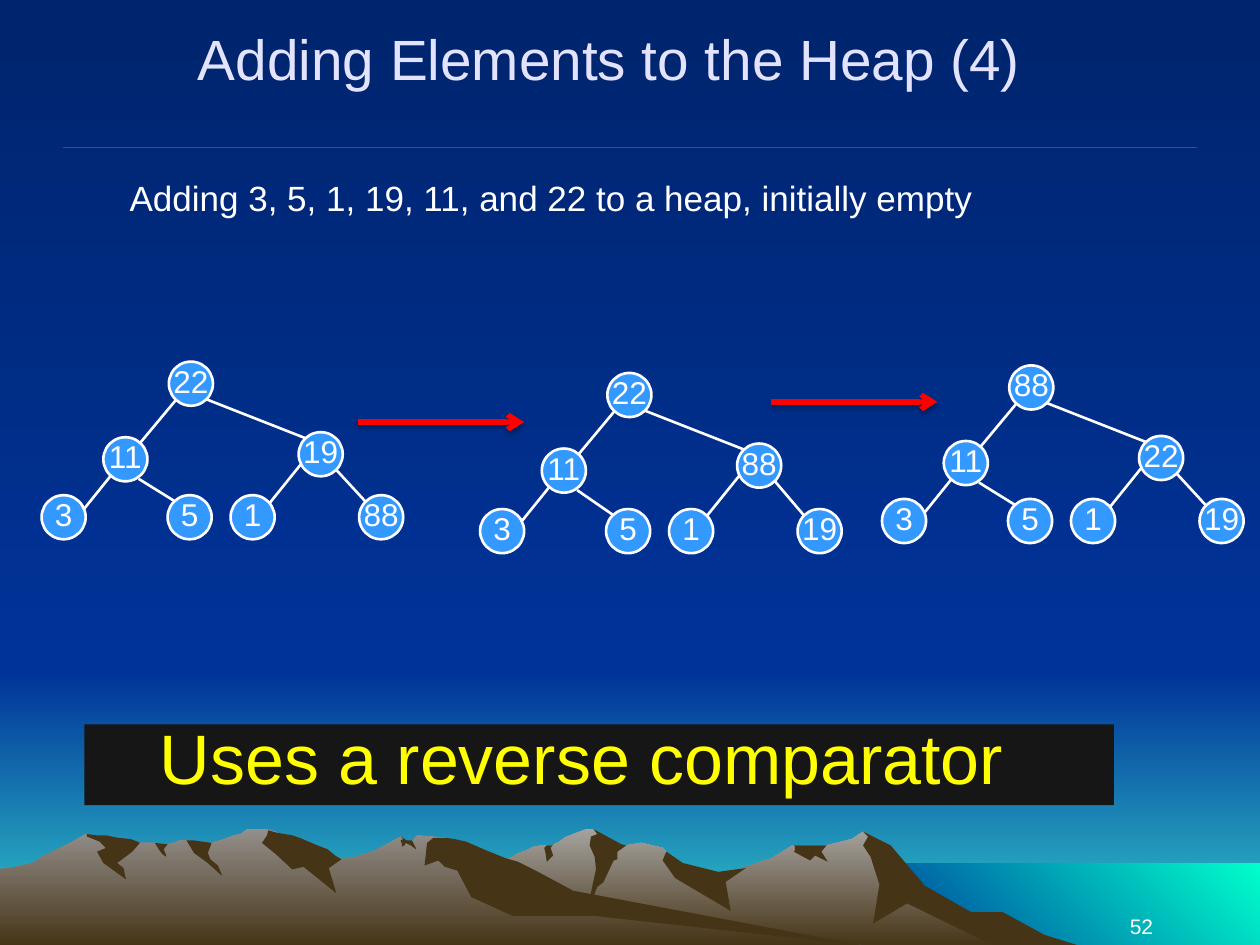
"""Build a slide that shows a heap being repaired after an element is added."""
from dataclasses import dataclass

from lxml import etree
from pptx import Presentation
from pptx import util as u
from pptx.dml.color import RGBColor
from pptx.enum import shapes, text
from pptx.oxml import ns


@dataclass(frozen=True)
class Theme:
    font: str = "Arial"
    white: str = "FFFFFF"
    title: str = "E3E3FF"
    node: str = "3399FF"
    rule: str = "EF0129"
    arrow: str = "FF0000"
    banner: str = "161616"
    banner_text: str = "FFFF00"
    rock: str = "463416"
    sky: tuple = ("00246D", "003399")
    haze: tuple = ("003399", "33CCCC")
    sea: tuple = ("003399", "00FFCC")
    far_slope: tuple = ("A5A29F", "463416")
    near_slope: tuple = ("938F8B", "463416")
    title_size: float = 32.4
    body_size: float = 20
    node_size: float = 18
    number_size: float = 12
    banner_size: float = 40


THEME = Theme()
NODE_SIZE = 0.35

# Outlines in hundredths of an inch
FAR_SLOPE = """802,740 778,727 764,723 723,698 702,671 685,660 676,666 656,671 629,671 613,681
    566,697 536,690 529,676 526,673 509,669 497,671 486,673 474,661 471,658 465,658 450,664
    448,665 444,668 438,671 430,671 424,672 418,675 412,677 405,681 399,683 394,685 355,698
    327,709 277,739 258,751 821,751"""
FAR_SHADES = [
    """796,724 771,724 734,703 707,671 685,660 689,664 685,671 691,680 698,702 693,733 720,717
    792,752 858,751 829,742""",
    """471,658 474,662 469,664 468,671 472,680 473,690 465,727 474,704 479,700 487,683 490,682
    490,676 497,671 493,670""",
    "529,676 528,678 526,683 536,697 580,723 576,700 592,689 570,692 542,685",
    "650,671 630,671 631,672 631,675 630,676 643,683 647,679 657,684 652,676 656,671",
    "433,677 432,673 434,671 438,671 439,670 437,673 439,679 434,684",
]
NEAR_SLOPE = """690,751 667,748 432,712 354,665 331,663 327,668 323,668 318,664 296,676 279,681
    271,682 260,676 236,681 223,663 219,660 212,658 196,658 191,662 186,663 178,666 168,669
    160,671 148,667 143,667 132,671 128,671 123,669 111,669 94,671 68,662 56,669 50,672 46,674
    35,679 26,685 14,688 0,690 0,751"""
NEAR_SHADES = [
    """212,663 208,669 219,678 232,690 241,688 267,709 261,689 271,682 266,679 260,674 252,671
    245,668 238,665 232,663 226,662 220,661 213,659""",
    """370,668 361,666 354,665 344,665 339,669 337,687 348,683 353,688 363,691 374,712 407,727
    472,727 690,751 683,750 455,707 427,692 411,684 401,681 386,675""",
    """318,667 320,666 318,664 323,667 327,667 330,673 330,674 326,671 322,669 321,671 319,672
    319,670""",
    """154,667 161,668 168,669 165,677 167,682 173,687 176,694 176,695 165,685 154,677
    148,667""",
    "133,670 130,674 132,679 132,680 129,678 126,674 123,669",
    """109,668 111,669 105,676 93,685 98,689 100,698 82,685 77,676 84,673 79,668 69,664 69,662
    77,663 84,663 94,665 104,666""",
]


def rgb(code):
    """Return a colour from its hex code."""
    return RGBColor.from_string(code)


def paint(fill, colour, angle=270):
    """Fill with one colour, or with a gradient when given a pair."""
    if isinstance(colour, str):
        fill.solid()
        fill.fore_color.rgb = rgb(colour)
        return
    fill.gradient()
    fill.gradient_angle = angle
    for stop, code in zip(fill.gradient_stops, colour):
        stop.color.rgb = rgb(code)


def add_outline(slide, points, colour, angle=270):
    """Draw a closed, unlined polygon."""
    corners = [tuple(map(int, point.split(","))) for point in points.split()]
    builder = slide.shapes.build_freeform(*corners[0], scale=u.Inches(0.01))
    builder.add_line_segments(corners[1:], close=True)
    outline = builder.convert_to_shape()
    outline.shadow.inherit = False
    paint(outline.fill, colour, angle)
    outline.line.fill.background()


def add_line(slide, start, end, colour, width):
    """Draw a straight line without effects and return it."""
    ends = [u.Inches(value) for value in (*start, *end)]
    line = slide.shapes.add_connector(shapes.MSO_CONNECTOR.STRAIGHT, *ends)
    line.line.color.rgb = rgb(colour)
    line.line.width = u.Pt(width)
    etree.SubElement(line._element.spPr, ns.qn("a:effectLst"))
    return line


def add_arrow(slide, start, end):
    """Draw a thick arrow with a soft shadow."""
    properties = add_line(slide, start, end, THEME.arrow, 3)._element.spPr
    etree.SubElement(properties.find(ns.qn("a:ln")), ns.qn("a:tailEnd"), type="arrow")
    shadow = etree.SubElement(
        properties.find(ns.qn("a:effectLst")), ns.qn("a:outerShdw"),
        blurRad=str(u.Pt(3.1)), dist=str(u.Pt(1.8)), dir="5400000", rotWithShape="0")
    black = etree.SubElement(shadow, ns.qn("a:srgbClr"), val="000000")
    etree.SubElement(black, ns.qn("a:alpha"), val="35000")


def write(holder, words, size, colour, align, anchor):
    """Put one formatted paragraph in a shape and return it."""
    frame = holder.text_frame
    frame.text = words
    frame.word_wrap = True
    frame.vertical_anchor = anchor
    paragraph = frame.paragraphs[0]
    paragraph.alignment = align
    font = paragraph.runs[0].font
    font.name, font.size, font.color.rgb = THEME.font, u.Pt(size), rgb(colour)
    return paragraph


def add_label(slide, box, words, size, colour, align=text.PP_ALIGN.LEFT,
              anchor=text.MSO_ANCHOR.TOP):
    """Add a text box."""
    label = slide.shapes.add_textbox(*map(u.Inches, box))
    write(label, words, size, colour, align, anchor)


def add_filled(slide, preset, box, colour):
    """Add a filled, unlined preset shape and return it."""
    shape = slide.shapes.add_shape(preset, *map(u.Inches, box))
    shape.shadow.inherit = False
    paint(shape.fill, colour)
    shape.line.fill.background()
    return shape


def add_node(slide, left, top, key):
    """Add one heap node."""
    node = add_filled(slide, shapes.MSO_SHAPE.OVAL, (left, top, NODE_SIZE, NODE_SIZE), THEME.node)
    node.line.color.rgb = rgb(THEME.white)
    node.line.width = u.Pt(1.5)
    write(node, str(key), THEME.node_size, THEME.white, text.PP_ALIGN.CENTER,
          text.MSO_ANCHOR.MIDDLE)
    frame = node.text_frame
    frame.word_wrap = False
    frame.margin_left = frame.margin_right = frame.margin_top = 0
    frame.margin_bottom = u.Inches(0.05)


def add_heap(slide, left, top, keys, leaf_drop=1.06):
    """Add a heap of seven keys in level order, with its root at left and top."""
    places = [(0, 0), (-0.52, 0.6), (1.03, 0.56)]
    places += [(x, leaf_drop) for x in (-1.01, -0.01, 0.49, 1.51)]
    leaf_edge = leaf_drop + 0.05
    edges = [((-0.24, 0.66), (0.06, 0.3)), ((1.09, 0.61), (0.3, 0.3)),
             ((-0.73, 1.24), (-0.44, 0.88)), ((0.05, leaf_edge), (-0.24, 0.93)),
             ((0.77, 1.16), (1.06, 0.8)), ((1.56, leaf_edge), (1.33, 0.86))]
    for child, parent in edges:
        start, end = ((left + x, top + y) for x, y in (child, parent))
        add_line(slide, start, end, THEME.white, 1.5)
    for (x, y), key in zip(places, keys):
        add_node(slide, left + x, top + y, key)


def add_landscape(slide):
    """Draw the sky, the sea and the mountains."""
    paint(slide.background.fill, THEME.sky)
    add_outline(slide, "0,533 1000,533 1000,750 0,750", THEME.haze)
    add_outline(slide, "0,0 1000,0 1000,533 0,533", THEME.sky)
    add_outline(slide, "683,685 1000,685 1000,752 683,752", THEME.sea, 45)
    for slope, colour, shades in ((FAR_SLOPE, THEME.far_slope, FAR_SHADES),
                                  (NEAR_SLOPE, THEME.near_slope, NEAR_SHADES)):
        add_outline(slide, slope, colour)
        for shade in shades:
            add_outline(slide, shade, THEME.rock)


def add_banner(slide, words):
    """Add the dark banner with its indented remark."""
    banner = add_filled(slide, shapes.MSO_SHAPE.RECTANGLE, (0.67, 5.75, 8.17, 0.64), THEME.banner)
    remark = write(banner, words, THEME.banner_size, THEME.banner_text, text.PP_ALIGN.LEFT,
                   text.MSO_ANCHOR.TOP)
    remark.level = 1
    remark.line_spacing = 0.8
    remark._p.get_or_add_pPr().set("marL", str(u.Inches(0.5)))


def main():
    """Build and save the slide."""
    deck = Presentation()
    deck.slide_width, deck.slide_height = u.Inches(10), u.Inches(7.5)
    slide = deck.slides.add_slide(deck.slide_layouts[6])
    add_landscape(slide)
    add_line(slide, (0.5, 1.17), (9.5, 1.17), THEME.rule, 0.75)
    add_label(slide, (7.17, 7, 2.08, 0.5), "52", THEME.number_size, THEME.white,
              text.PP_ALIGN.RIGHT, text.MSO_ANCHOR.BOTTOM)
    add_label(slide, (0, 0.17, 9.67, 0.58), "Adding Elements to the Heap (4)", THEME.title_size,
              THEME.title, text.PP_ALIGN.CENTER, text.MSO_ANCHOR.MIDDLE)
    add_label(slide, (0.93, 1.35, 7.88, 0.44),
              "Adding 3, 5, 1, 19, 11, and 22 to a heap, initially empty",
              THEME.body_size, THEME.white)
    add_heap(slide, 1.34, 2.87, (22, 11, 19, 3, 5, 1, 88))
    add_heap(slide, 4.82, 2.96, (22, 11, 88, 3, 5, 1, 19), leaf_drop=1.08)
    add_heap(slide, 8.01, 2.9, (88, 11, 22, 3, 5, 1, 19))
    add_arrow(slide, (6.12, 3.19), (7.44, 3.19))
    add_arrow(slide, (2.84, 3.35), (4.16, 3.35))
    add_banner(slide, "Uses a reverse comparator")
    deck.save("out.pptx")


if __name__ == "__main__":
    main()
